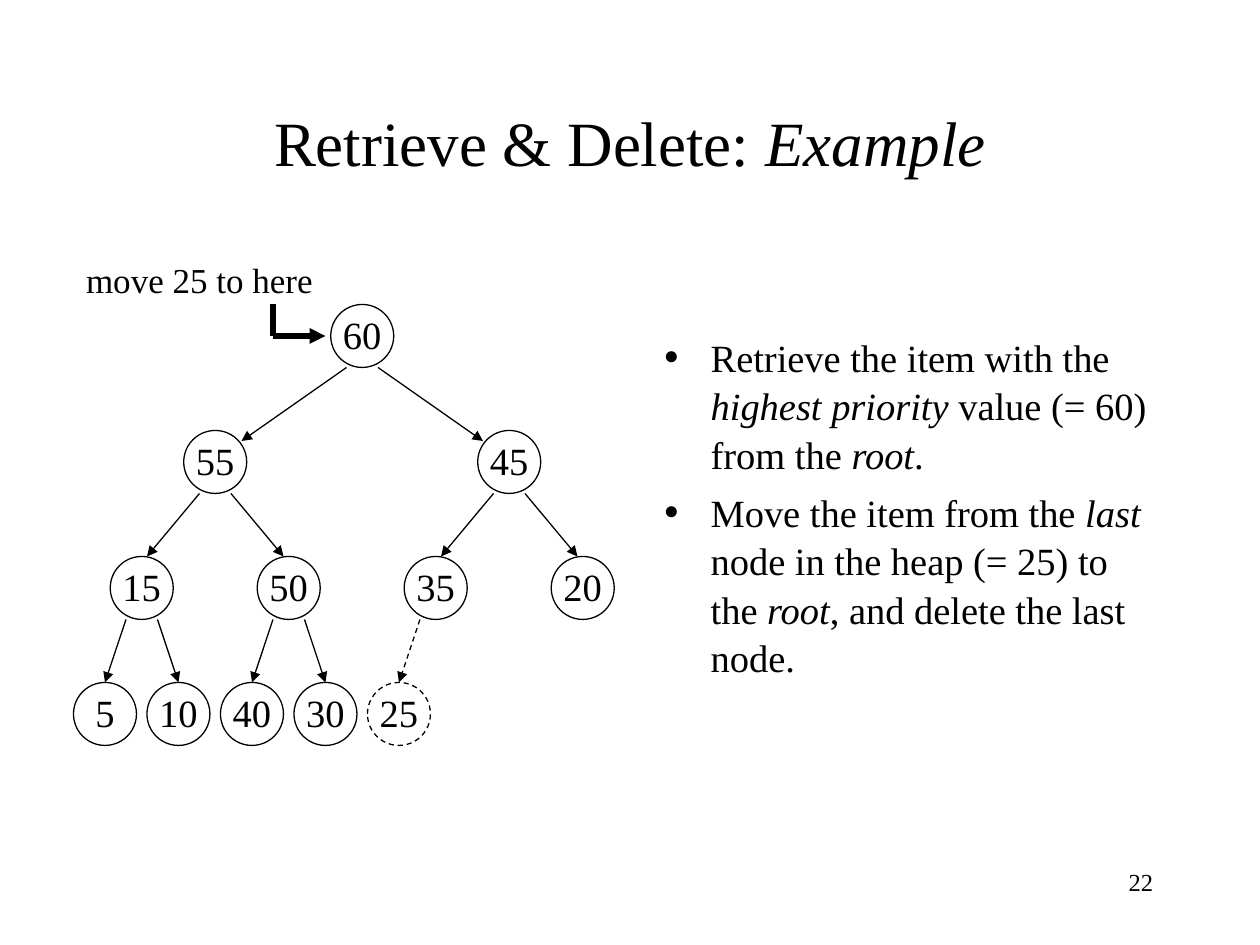
"""Build the heap slide that shows retrieving and deleting the root item."""

from dataclasses import dataclass

from lxml import etree
from pptx import Presentation
from pptx import util as u
from pptx.dml.color import RGBColor
from pptx.enum import dml, shapes, text
from pptx.oxml import ns
from pptx.slide import Slide

COLOURS = {"ink": "000000"}
FONT = "Times New Roman"
NODE_SIZE = 36
LEAF_GAP = 42
LEVEL_GAP = 72
FIRST_LEAF_X = 60
ROOT_TOP = 174
LAST_LEVEL = 3
EDGE_START = 9
EDGE_ENDS = {1: (15, 6), 2: (3, 0), 3: (0, 0)}
HEAP = (60, 55, 45, 15, 50, 35, 20, 5, 10, 40, 30, 25)


@dataclass(frozen=True)
class Node:
    """One heap item, with its place in the tree."""

    value: int
    level: int
    slot: int
    removed: bool

    @property
    def x(self) -> float:
        """Return the horizontal centre."""
        span = 2 ** (LAST_LEVEL - self.level)
        return FIRST_LEAF_X + LEAF_GAP * (span * self.slot + (span - 1) / 2)

    @property
    def top(self) -> float:
        """Return the upper edge."""
        return ROOT_TOP + LEVEL_GAP * self.level


@dataclass(frozen=True)
class Phrase:
    """A piece of a sentence in one style."""

    words: str
    italic: bool = False


@dataclass(frozen=True)
class Stroke:
    """A straight line between two points."""

    start: tuple[float, float]
    end: tuple[float, float]
    width: float = 0.75
    dashed: bool = False
    arrow: bool = True


TITLE = (Phrase("Retrieve & Delete:"), Phrase(" Example", True))
STEPS = (
    (
        Phrase("Retrieve the item with the "),
        Phrase("highest priority", True),
        Phrase(" value (= 60) from the "),
        Phrase("root", True),
        Phrase("."),
    ),
    (
        Phrase("Move the item from the "),
        Phrase("last", True),
        Phrase(" node in the heap (= 25) to the "),
        Phrase("root", True),
        Phrase(", and delete the last node."),
    ),
)
MOVE_STROKES = (
    Stroke((156, 174), (156, 192), 3, arrow=False),
    Stroke((156, 192), (186, 192), 3),
)


def style_font(font: text, size: float, italic: bool = False) -> None:
    """Apply the slide's typeface and colour."""
    font.name = FONT
    font.size = u.Pt(size)
    font.italic = italic
    font.color.rgb = RGBColor.from_string(COLOURS["ink"])


def write_phrases(paragraph, phrases: tuple[Phrase, ...], size: float) -> None:
    """Fill a paragraph with phrases of mixed style."""
    for phrase in phrases:
        run = paragraph.add_run()
        run.text = phrase.words
        style_font(run.font, size, phrase.italic)


def style_line(line, width: float, dashed: bool) -> None:
    """Set the colour, width and dash of an outline."""
    line.color.rgb = RGBColor.from_string(COLOURS["ink"])
    line.width = u.Pt(width)
    if dashed:
        line.dash_style = dml.MSO_LINE.DASH


def draw_stroke(slide: Slide, stroke: Stroke) -> None:
    """Draw a line, with an arrowhead where it is wanted."""
    points = [u.Pt(value) for value in stroke.start + stroke.end]
    connector = slide.shapes.add_connector(shapes.MSO_CONNECTOR.STRAIGHT, *points)
    style_line(connector.line, stroke.width, stroke.dashed)
    properties = connector._element.spPr
    if stroke.arrow:
        outline = properties.find(ns.qn("a:ln"))
        etree.SubElement(outline, ns.qn("a:tailEnd"), type="triangle")
    etree.SubElement(properties, ns.qn("a:effectLst"))


def draw_node(slide: Slide, node: Node) -> None:
    """Draw a heap item as a circle holding its value."""
    circle = slide.shapes.add_shape(
        shapes.MSO_SHAPE.OVAL,
        u.Pt(node.x - NODE_SIZE / 2), u.Pt(node.top), u.Pt(NODE_SIZE), u.Pt(NODE_SIZE),
    )
    circle.shadow.inherit = False
    circle.fill.background()
    style_line(circle.line, 0.75, node.removed)
    frame = circle.text_frame
    frame.word_wrap = False
    frame.margin_left = frame.margin_right = frame.margin_top = 0
    frame.margin_bottom = u.Pt(2)
    frame.vertical_anchor = text.MSO_ANCHOR.MIDDLE
    frame.text = str(node.value)
    frame.paragraphs[0].alignment = text.PP_ALIGN.CENTER
    style_font(frame.paragraphs[0].runs[0].font, 22)


def draw_edge(slide: Slide, parent: Node, child: Node) -> None:
    """Draw the arrow from a parent to its child."""
    side = 1 if child.x > parent.x else -1
    inset, drop = EDGE_ENDS[child.level]
    start = (parent.x + side * EDGE_START, parent.top + NODE_SIZE)
    end = (child.x - side * inset, child.top + drop)
    draw_stroke(slide, Stroke(start, end, dashed=child.removed))


def draw_heap(slide: Slide) -> None:
    """Draw the heap from its array order."""
    nodes = []
    for index, value in enumerate(HEAP):
        level = (index + 1).bit_length() - 1
        slot = index + 1 - 2**level
        nodes.append(Node(value, level, slot, index == len(HEAP) - 1))
    for index, node in enumerate(nodes):
        draw_node(slide, node)
        if index:
            draw_edge(slide, nodes[(index - 1) // 2], node)


def add_frame(slide: Slide, left: float, top: float, width: float, height: float):
    """Add a wrapping text box and return its text frame."""
    frame = slide.shapes.add_textbox(u.Pt(left), u.Pt(top), u.Pt(width), u.Pt(height)).text_frame
    frame.word_wrap = True
    return frame


def add_label(slide: Slide, words: str, box: tuple, size: float, alignment) -> None:
    """Add a one-line label."""
    frame = add_frame(slide, *box)
    frame.text = words
    frame.paragraphs[0].alignment = alignment
    style_font(frame.paragraphs[0].runs[0].font, size)


def add_title(slide: Slide) -> None:
    """Place and fill the title placeholder."""
    title = slide.shapes.title
    title.left, title.top, title.width, title.height = map(u.Pt, (54, 48, 612, 66))
    title.text_frame.vertical_anchor = text.MSO_ANCHOR.MIDDLE
    heading = title.text_frame.paragraphs[0]
    heading.alignment = text.PP_ALIGN.CENTER
    write_phrases(heading, TITLE, 36)


def add_steps(slide: Slide) -> None:
    """Add the bulleted explanation."""
    frame = add_frame(slide, 372, 186, 300, 198)
    for index, phrases in enumerate(STEPS):
        step = frame.add_paragraph() if index else frame.paragraphs[0]
        step.space_before = u.Pt(5.5)
        step.line_spacing = 1.05
        write_phrases(step, phrases, 22)
        properties = step._p.get_or_add_pPr()
        properties.set("marL", str(u.Pt(27)))
        properties.set("indent", str(u.Pt(-27)))
        etree.SubElement(properties, ns.qn("a:buSzPct"), val="120000")
        etree.SubElement(properties, ns.qn("a:buFont"), typeface=FONT)
        etree.SubElement(properties, ns.qn("a:buChar"), char="•")


def main() -> None:
    """Build and save the slide."""
    deck = Presentation()
    deck.slide_width, deck.slide_height = u.Pt(720), u.Pt(540)
    slide = deck.slides.add_slide(deck.slide_layouts[5])
    add_title(slide)
    add_steps(slide)
    draw_heap(slide)
    add_label(slide, "move 25 to here", (42, 144, 144, 32), 20, text.PP_ALIGN.CENTER)
    for stroke in MOVE_STROKES:
        draw_stroke(slide, stroke)
    add_label(slide, "22", (516, 492, 150, 36), 14, text.PP_ALIGN.RIGHT)
    deck.save("out.pptx")


if __name__ == "__main__":
    main()
